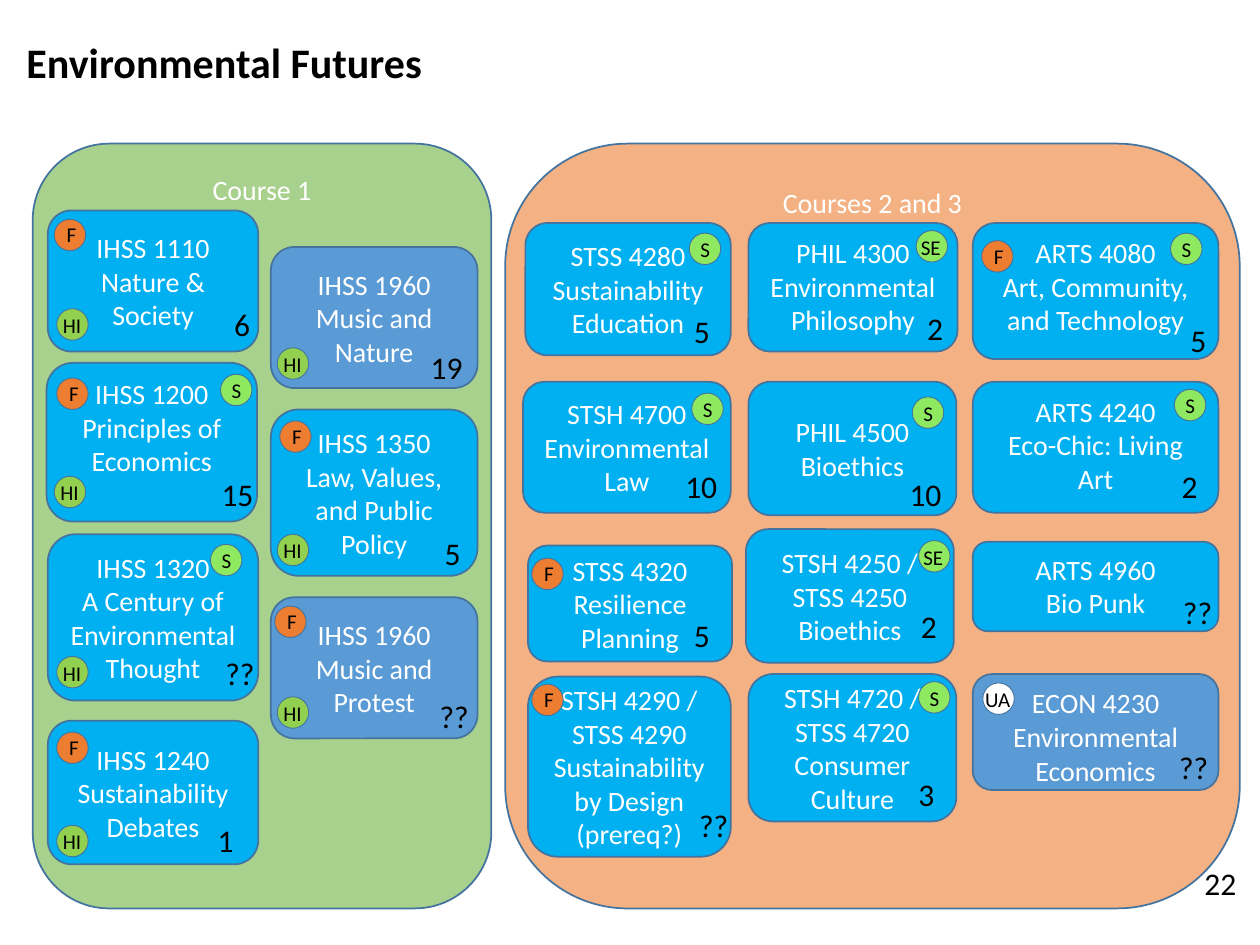
from dataclasses import dataclass

from pptx import Presentation
from pptx.dml.color import RGBColor
from pptx.enum.shapes import MSO_SHAPE as Shape
from pptx.enum.text import MSO_ANCHOR as Anchor, MSO_AUTO_SIZE as AutoSize, PP_ALIGN as Align
from pptx.util import Inches, Pt

FONT = "Calibri"
BLACK = RGBColor(0x00, 0x00, 0x00)
WHITE = RGBColor(0xFF, 0xFF, 0xFF)
OUTLINE = RGBColor(0x43, 0x73, 0x9E)
PANEL_GREEN = RGBColor(0xA9, 0xD1, 0x8E)
PANEL_ORANGE = RGBColor(0xF4, 0xB1, 0x83)
CYAN = RGBColor(0x00, 0xB0, 0xF0)
BLUE = RGBColor(0x5B, 0x9B, 0xD5)
ORANGE = RGBColor(0xED, 0x7D, 0x31)
LIME = RGBColor(0x8E, 0xE9, 0x61)
GREEN = RGBColor(0x92, 0xD0, 0x50)

BADGE_SIZE = 0.25
# Badge code: fill, label width, label offset from the circle
BADGE_STYLES = {
    "F": (ORANGE, 0.28, 0, -0.03),
    "S": (LIME, 0.28, -0.01, -0.02),
    "SE": (LIME, 0.36, -0.06, -0.02),
    "HI": (GREEN, 0.35, -0.05, -0.02),
    "UA": (WHITE, 0.41, -0.08, -0.02),
}


@dataclass
class Course:
    lines: list
    box: tuple      # left, top, width, height
    count: tuple    # text, left, top
    badges: list    # code, left, top
    fill: RGBColor = CYAN
    anchor: Anchor = Anchor.MIDDLE


COURSES = [
    # Course 1, left column
    Course(["IHSS 1110", "Nature & Society"], (0.38, 1.67, 1.67, 1.12),
           ("6", 1.76, 2.37), [("F", 0.43, 1.74), ("HI", 0.45, 2.45)]),
    Course(["IHSS 1200", "Principles of Economics"], (0.37, 2.88, 1.67, 1.26),
           ("15", 1.66, 3.72), [("HI", 0.43, 3.78), ("S", 1.75, 2.97), ("F", 0.45, 3)],
           anchor=Anchor.TOP),
    Course(["IHSS 1320", "A Century of Environmental Thought"], (0.38, 4.24, 1.67, 1.32),
           ("??", 1.69, 5.14), [("HI", 0.45, 5.21), ("S", 1.67, 4.32)]),
    Course(["IHSS 1240", "Sustainability Debates"], (0.38, 5.72, 1.67, 1.14),
           ("1", 1.63, 6.47), [("HI", 0.45, 6.55), ("F", 0.45, 5.81)]),
    # Course 1, right column
    Course(["IHSS 1960", "Music and Nature"], (2.15, 1.96, 1.64, 1.12),
           ("19", 3.32, 2.71), [("HI", 2.2, 2.76)], fill=BLUE),
    Course(["IHSS 1350", "Law, Values, and Public Policy"], (2.15, 3.25, 1.64, 1.32),
           ("5", 3.43, 4.19), [("HI", 2.2, 4.24), ("F", 2.22, 3.34)]),
    Course(["IHSS 1960", "Music and Protest"], (2.15, 4.74, 1.64, 1.12),
           ("??", 3.39, 5.48), [("HI", 2.2, 5.53), ("F", 2.18, 4.81)], fill=BLUE),
    # Courses 2 and 3, left column
    Course(["STSS 4280", "Sustainability Education"], (4.17, 1.77, 1.63, 1.05),
           ("5", 5.41, 2.43), [("S", 5.47, 1.85)]),
    Course(["STSH 4700", "Environmental Law"], (4.15, 3.03, 1.65, 1.04),
           ("10", 5.34, 3.66), [("S", 5.49, 3.12)]),
    Course(["STSS 4320", "Resilience Planning"], (4.19, 4.33, 1.62, 0.92),
           ("5", 5.41, 4.84), [("F", 4.22, 4.43)]),
    Course(["STSH 4290 / STSS 4290", "Sustainability by Design", "(prereq?)"],
           (4.19, 5.37, 1.61, 1.43), ("??", 5.45, 6.35), [("F", 4.22, 5.43)]),
    # Courses 2 and 3, middle column
    Course(["PHIL 4300", "Environmental Philosophy"], (5.94, 1.77, 1.66, 1.02),
           ("2", 7.26, 2.4), [("SE", 7.27, 1.83)], anchor=Anchor.TOP),
    Course(["PHIL 4500", "Bioethics"], (5.94, 3.03, 1.65, 1.06),
           ("10", 7.12, 3.72), [("S", 7.24, 3.15)]),
    Course(["STSH 4250 / STSS 4250", "Bioethics"], (5.92, 4.2, 1.65, 1.06),
           ("2", 7.21, 4.77), [("SE", 7.29, 4.29)]),
    Course(["STSH 4720 / STSS 4720", "Consumer Culture"], (5.94, 5.35, 1.65, 1.17),
           ("3", 7.19, 6.1), [("S", 7.29, 5.41)]),
    # Courses 2 and 3, right column
    Course(["ARTS 4080", "Art, Community, and Technology"], (7.72, 1.77, 1.95, 1.08),
           ("5", 9.35, 2.5), [("F", 7.79, 1.91), ("S", 9.29, 1.85)], anchor=Anchor.TOP),
    Course(["ARTS 4240", "Eco-Chic: Living Art"], (7.72, 3.03, 1.95, 1.04),
           ("2", 9.28, 3.66), [("S", 9.32, 3.09)], anchor=Anchor.TOP),
    Course(["ARTS 4960", "Bio Punk"], (7.72, 4.3, 1.95, 0.71),
           ("??", 9.29, 4.66), [], anchor=Anchor.TOP),
    Course(["ECON 4230", "Environmental Economics"], (7.72, 5.35, 1.95, 0.92),
           ("??", 9.26, 5.89), [("UA", 7.8, 5.42)], fill=BLUE, anchor=Anchor.TOP),
]


def add_run(paragraph, text, size, color, bold=False):
    run = paragraph.add_run()
    run.text = text
    run.font.name = FONT
    run.font.size = Pt(size)
    run.font.bold = bold
    run.font.color.rgb = color


def add_filled_shape(shapes, kind, box, fill, line_width):
    shape = shapes.add_shape(kind, *map(Inches, box))
    shape.shadow.inherit = False
    shape.fill.solid()
    shape.fill.fore_color.rgb = fill
    shape.line.color.rgb = OUTLINE
    shape.line.width = Pt(line_width)
    return shape


def add_rounded_box(slide, lines, box, fill, anchor=Anchor.TOP):
    shape = add_filled_shape(slide.shapes, Shape.ROUNDED_RECTANGLE, box, fill, 1)
    frame = shape.text_frame
    frame.word_wrap = True
    frame.vertical_anchor = anchor
    for index, line in enumerate(lines):
        paragraph = frame.add_paragraph() if index else frame.paragraphs[0]
        paragraph.alignment = Align.CENTER
        add_run(paragraph, line, 16, WHITE)


def add_label(shapes, text, box, size):
    frame = shapes.add_textbox(*map(Inches, box)).text_frame
    frame.word_wrap = False
    frame.auto_size = AutoSize.SHAPE_TO_FIT_TEXT
    add_run(frame.paragraphs[0], text, size, BLACK)


def add_badge(slide, code, left, top):
    fill, width, shift_x, shift_y = BADGE_STYLES[code]
    shapes = slide.shapes.add_group_shape().shapes
    add_filled_shape(shapes, Shape.OVAL, (left, top, BADGE_SIZE, BADGE_SIZE), fill, 0.5)
    add_label(shapes, code, (left + shift_x, top + shift_y, width, 0.3), 12)


def add_count(slide, text, left, top):
    width = 0.33 if len(text) == 1 else 0.45
    add_label(slide.shapes, text, (left, top, width, 0.4), 18)


def add_course(slide, course):
    add_rounded_box(slide, course.lines, course.box, course.fill, course.anchor)
    for badge in course.badges:
        add_badge(slide, *badge)
    add_count(slide, *course.count)


def set_title(slide, text):
    title = slide.shapes.title
    title.left, title.top, title.width, title.height = map(Inches, (0.11, 0.24, 7.67, 0.5))
    frame = title.text_frame
    frame.word_wrap = True
    frame.auto_size = AutoSize.SHAPE_TO_FIT_TEXT
    frame.vertical_anchor = Anchor.TOP
    frame.paragraphs[0].alignment = Align.LEFT
    add_run(frame.paragraphs[0], text, 24, BLACK, bold=True)


def main():
    presentation = Presentation()
    presentation.slide_width = Inches(10)
    presentation.slide_height = Inches(7.5)
    slide = presentation.slides.add_slide(presentation.slide_layouts[5])
    set_title(slide, "Environmental Futures")

    # Background panels
    add_rounded_box(slide, ["Course 1"], (0.26, 1.14, 3.64, 6.07), PANEL_GREEN)
    add_rounded_box(slide, ["Courses 2 and 3"], (4.01, 1.14, 5.83, 6.07), PANEL_ORANGE)

    # Course cards with their badges and counts
    for course in COURSES:
        add_course(slide, course)

    # Number in the bottom corner
    add_count(slide, "22", 9.46, 6.81)
    presentation.save("out.pptx")


if __name__ == "__main__":
    main()
